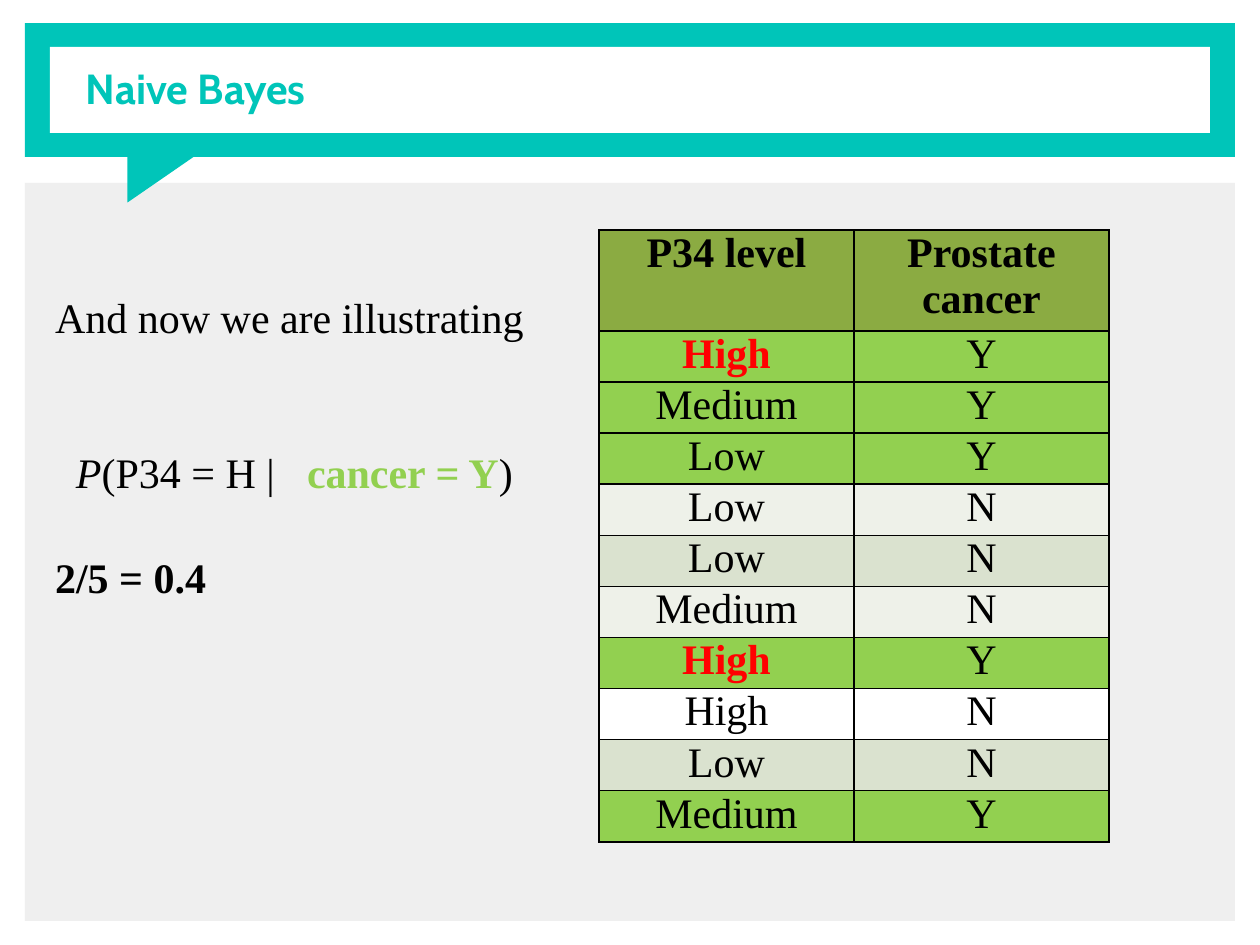
from lxml.etree import SubElement
from pptx import Presentation
from pptx.dml.color import RGBColor
from pptx.enum.shapes import MSO_SHAPE as SHAPE
from pptx.enum.text import MSO_ANCHOR as ANCHOR, PP_ALIGN as ALIGN
from pptx.oxml.ns import qn
from pptx.util import Emu, Pt

COLORS = {
    "teal": "00C5B9", "panel": "EFEFEF", "white": "FFFFFF", "black": "000000",
    "red": "FF0000", "head": "8BAB42", "yes": "92D050",
    "pale": "EEF1E9", "sage": "DAE2CF",
}
SERIF = "Times New Roman"
HEADERS = ("P34 level", "Prostate cancer")
RECORDS = [
    ("High", "Y", "yes"), ("Medium", "Y", "yes"), ("Low", "Y", "yes"),
    ("Low", "N", "pale"), ("Low", "N", "sage"), ("Medium", "N", "pale"),
    ("High", "Y", "yes"), ("High", "N", "white"), ("Low", "N", "sage"),
    ("Medium", "Y", "yes"),
]


def px(n):
    """Turn pixels into EMU."""
    return Emu(round(n * 914400 / 126))


def rgb(name):
    """Look up a named colour."""
    return RGBColor.from_string(COLORS[name])


def add_run(p, text, color="black", bold=False, italic=False, font=SERIF):
    """Add one 24 pt run to a paragraph."""
    r = p.add_run()
    r.text = text
    f = r.font
    f.name, f.size, f.bold, f.italic = font, Pt(24), bold, italic
    f.color.rgb = rgb(color)


def add_block(s, kind, x, y, w, h, color):
    """Add a plain filled shape without outline."""
    sp = s.shapes.add_shape(kind, px(x), px(y), px(w), px(h))
    sp.shadow.inherit = False
    sp.fill.solid()
    sp.fill.fore_color.rgb = rgb(color)
    sp.line.fill.background()
    return sp


def add_text(s, x, y, w, h, top=13):
    """Add a wrapping text box and return its frame."""
    tf = s.shapes.add_textbox(px(x), px(y), px(w), px(h)).text_frame
    tf.word_wrap = True
    tf.margin_left = tf.margin_right = tf.margin_bottom = px(13)
    tf.margin_top = px(top)
    return tf


def add_banner(s, x, y, w, h):
    """Draw the speech-bubble banner with its title."""
    add_block(s, SHAPE.RECTANGLE, x, y, w, h, "teal")
    tail = add_block(s, SHAPE.RIGHT_TRIANGLE, x + 116, y + 106, 60, 87, "teal")
    tail.rotation = 90
    add_block(s, SHAPE.RECTANGLE, x + 25, y + 24, w - 50, h - 48, "white")
    tf = add_text(s, x + 48, y - 2, w - 114, h)
    tf.vertical_anchor = ANCHOR.MIDDLE
    add_run(tf.paragraphs[0], "Naive Bayes", "teal", bold=True, font="Cabin")


def add_formula(s, x, y, w, h):
    """Write the conditional probability and its value."""
    tf = add_text(s, x, y, w, h, top=62)
    add_run(tf.paragraphs[0], "And now we are illustrating")

    p = tf.add_paragraph()
    p.space_before = Pt(60)
    pPr = p._p.get_or_add_pPr()
    pPr.set("marL", "0")
    pPr.set("indent", str(px(21)))
    tabs = SubElement(pPr, qn("a:tabLst"))
    SubElement(tabs, qn("a:tab"), pos=str(px(241)), algn="l")
    add_run(p, "P", italic=True)
    add_run(p, "(P34 = H |\t")
    add_run(p, "cancer = Y", "yes", bold=True)
    add_run(p, ")")

    p = tf.add_paragraph()
    p.space_before = Pt(31)
    add_run(p, "2/5 = 0.4", bold=True)


def fill_cell(cell, text, fill, color="black", bold=False):
    """Set a cell's text, fill and black borders."""
    cell.margin_left = cell.margin_right = 0
    cell.margin_top = cell.margin_bottom = 0
    p = cell.text_frame.paragraphs[0]
    p.alignment = ALIGN.CENTER
    add_run(p, text, color, bold)
    tcPr = cell._tc.get_or_add_tcPr()
    for side in ("lnL", "lnR", "lnT", "lnB"):
        ln = SubElement(tcPr, qn(f"a:{side}"), w=str(Pt(1)))
        solid = SubElement(ln, qn("a:solidFill"))
        SubElement(solid, qn("a:srgbClr"), val=COLORS["black"])
    cell.fill.solid()
    cell.fill.fore_color.rgb = rgb(fill)


def add_records(s, x, y, w, h):
    """Build the table of P34 levels and diagnoses."""
    n = len(RECORDS)
    head_h = 100
    table = s.shapes.add_table(n + 1, 2, px(x), px(y), px(w), px(h)).table
    for col in table.columns:
        col.width = px(w / 2)
    for row in table.rows:
        row.height = px((h - head_h) / n)
    table.rows[0].height = px(head_h)
    for c, text in enumerate(HEADERS):
        fill_cell(table.cell(0, c), text, "head", bold=True)
    for r, (level, cancer, fill) in enumerate(RECORDS, 1):
        hit = (level, cancer) == ("High", "Y")
        fill_cell(table.cell(r, 0), level, fill, "red" if hit else "black", hit)
        fill_cell(table.cell(r, 1), cancer, fill)


def main():
    """Build and save the slide."""
    prs = Presentation()
    prs.slide_width, prs.slide_height = px(1260), px(945)
    s = prs.slides.add_slide(prs.slide_layouts[6])
    add_block(s, SHAPE.RECTANGLE, 25, 183, 1210, 738, "panel")
    add_banner(s, 25, 23, 1210, 134)
    add_records(s, 599, 230, 510, 611)
    add_formula(s, 42, 229, 499, 420)
    prs.save("out.pptx")


if __name__ == "__main__":
    main()
